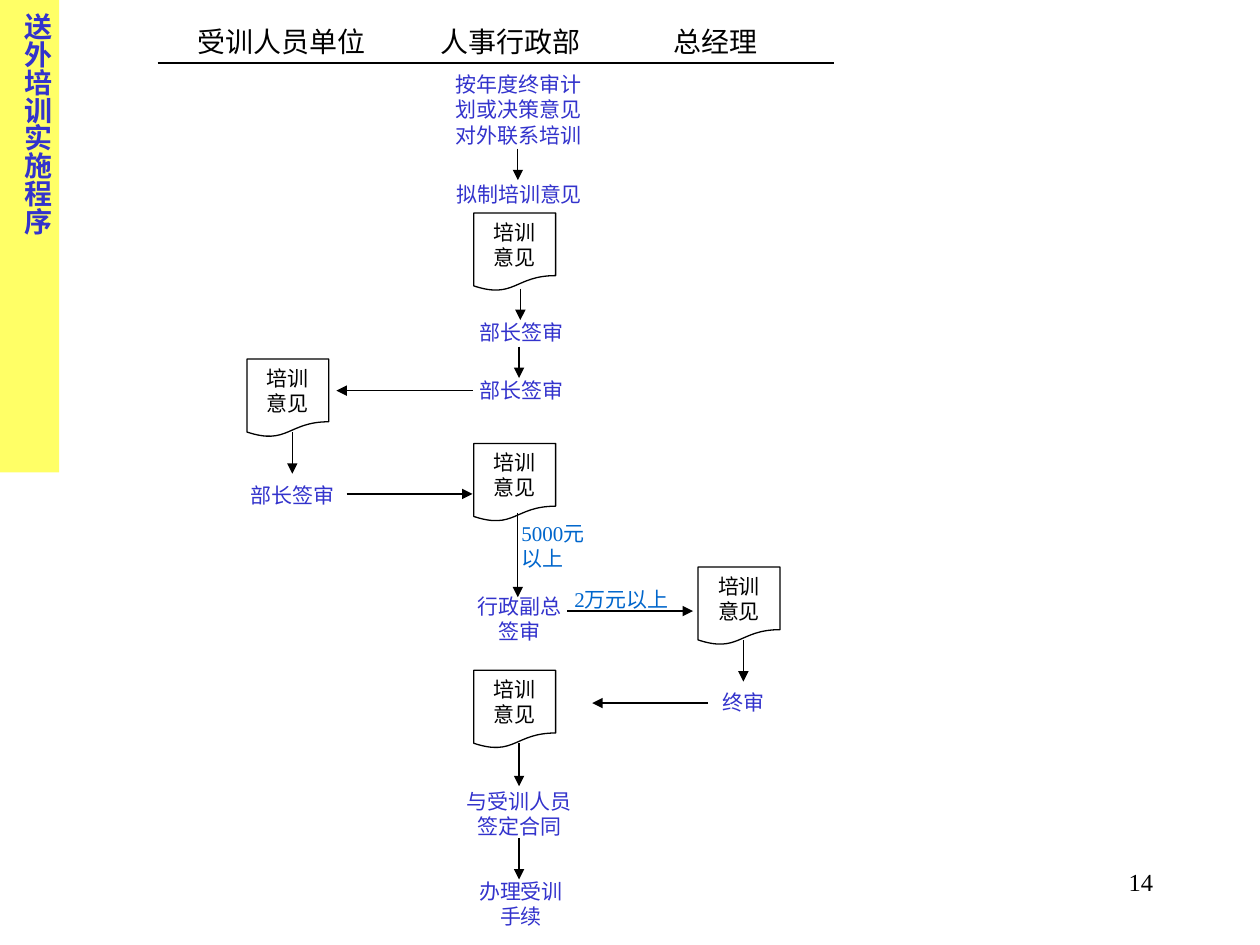
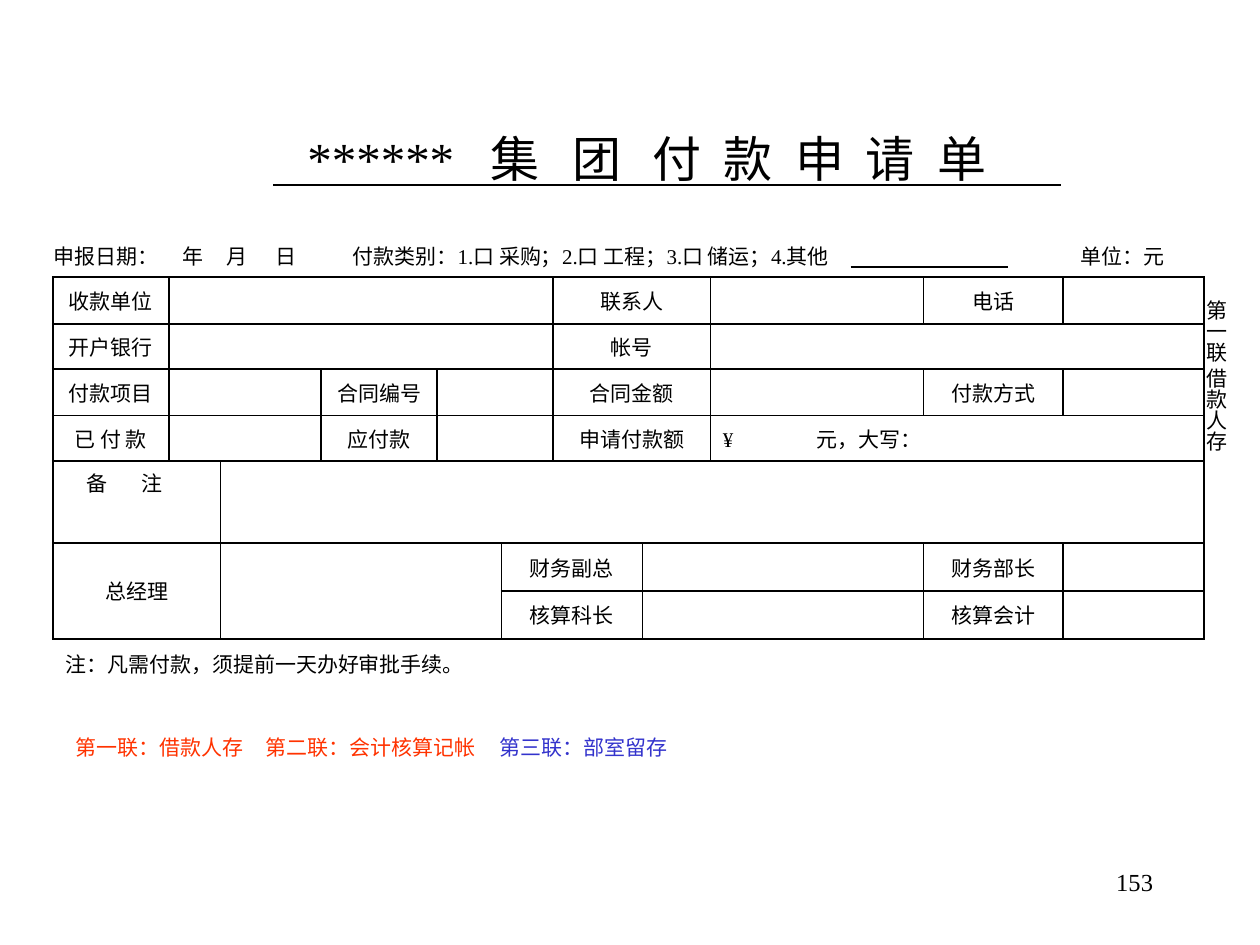
from lxml import etree
from pptx import Presentation
from pptx.dml.color import RGBColor
from pptx.enum.lang import MSO_LANGUAGE_ID
from pptx.enum.shapes import MSO_CONNECTOR, MSO_SHAPE
from pptx.enum.text import MSO_ANCHOR, MSO_AUTO_SIZE, PP_ALIGN
from pptx.oxml.ns import qn
from pptx.util import Inches, Pt

LEFT, CENTER, RIGHT = PP_ALIGN.LEFT, PP_ALIGN.CENTER, PP_ALIGN.RIGHT
TOP, MIDDLE = MSO_ANCHOR.TOP, MSO_ANCHOR.MIDDLE
STRAIGHT = MSO_CONNECTOR.STRAIGHT
DOCUMENT = MSO_SHAPE.FLOWCHART_DOCUMENT
NO_AUTOFIT = MSO_AUTO_SIZE.NONE
CHINESE = MSO_LANGUAGE_ID.SIMPLIFIED_CHINESE
TITLE_ONLY = 5

FONT = "Times New Roman"
BLACK, WHITE, YELLOW = "000000", "FFFFFF", "FFFF66"
STEP_BLUE, AMOUNT_BLUE, RED = "3333CC", "0066CC", "FF3300"

STEPS = [
    ("按年度终审计划或决策意见对外联系培训", 3.45, 0.52, 1.33, 0.7),
    ("拟制培训意见", 3.41, 1.39, 1.42, 0.3),
    ("部长签审", 3.64, 2.49, 1, 0.3),
    ("部长签审", 3.64, 2.95, 1, 0.3),
    ("部长签审", 1.74, 3.78, 1.17, 0.3),
    ("行政副总签审", 3.62, 4.66, 1, 0.5),
    ("终审", 5.4, 5.42, 1, 0.3),
    ("与受训人员签定合同", 3.55, 6.21, 1.14, 0.5),
    ("办理受训手续", 3.64, 6.92, 0.99, 0.5),
]
OPINIONS = [(3.76, 1.69), (1.96, 2.85), (3.76, 3.52), (5.54, 4.5), (3.76, 5.32)]
ARROWS = [
    (4.11, 1.18, 4.11, 1.43),
    (4.13, 2.29, 4.13, 2.54),
    (4.12, 2.75, 4.12, 3),
    (3.75, 3.1, 2.67, 3.1),
    (2.32, 3.43, 2.32, 3.76),
    (2.75, 3.92, 3.75, 3.92),
    (4.11, 4.07, 4.11, 4.74),
    (4.5, 4.85, 5.5, 4.85),
    (5.9, 5.08, 5.9, 5.41),
    (5.62, 5.58, 4.7, 5.58),
    (4.12, 5.9, 4.12, 6.24),
    (4.12, 6.65, 4.12, 6.98),
]

COLUMN_WIDTHS = [0.92, 0.2, 0.8, 0.92, 0.51, 0.41, 0.71, 0.54, 1.69, 1.11, 1.12]
ROW_HEIGHTS = [0.37, 0.36, 0.37, 0.36, 0.65, 0.38, 0.38]
REMARK, AMOUNT = "备\t注", "¥\t元，大写："
FORM_ROWS = [
    [("收款单位", 1), ("", 5), ("联系人", 2), ("", 1), ("电话", 1), ("", 1)],
    [("开户银行", 1), ("", 5), ("帐号", 2), ("", 3)],
    [("付款项目", 1), ("", 2), ("合同编号", 1), ("", 2), ("合同金额", 2),
     ("", 1), ("付款方式", 1), ("", 1)],
    [("已 付 款", 1), ("", 2), ("应付款", 1), ("", 2), ("申请付款额", 2), (AMOUNT, 3)],
    [(REMARK, 2), ("", 9)],
    [("总经理", 2, 2), ("", 3, 2), ("财务副总", 2), ("", 2), ("财务部长", 1), ("", 1)],
    [("核算科长", 2), ("", 2), ("核算会计", 1), ("", 1)],
]


def color(value):
    return RGBColor.from_string(value)


def place(box, left, top, width, height):
    box.left, box.top = Inches(left), Inches(top)
    box.width, box.height = Inches(width), Inches(height)


def add_span(para, text, size=12, fill=BLACK, bold=False):
    span = para.add_run()
    span.text = text
    span.font.name = FONT
    span.font.size = Pt(size)
    span.font.bold = bold
    span.font.color.rgb = color(fill)
    span.font.language_id = CHINESE


def write_text(frame, text, align=LEFT, tabs=(), spacing=None, vertical=False,
               anchor=TOP, wrap=True, **style):
    frame.word_wrap = wrap
    frame.auto_size = NO_AUTOFIT
    frame.vertical_anchor = anchor
    if vertical:
        frame._txBody.bodyPr.set("vert", "eaVert")
    for index, line in enumerate(text.split("\n")):
        para = frame.add_paragraph() if index else frame.paragraphs[0]
        set_tabs(para, tabs)
        para.alignment = align
        para.line_spacing = spacing
        add_span(para, line, **style)
    return para


def set_tabs(para, tabs):
    if tabs:
        stops = etree.SubElement(para._p.get_or_add_pPr(), qn("a:tabLst"))
        for position in tabs:
            etree.SubElement(stops, qn("a:tab"), pos=str(Inches(position)), algn="l")


def add_text(page, text, left, top, width, height, **style):
    box = page.shapes.add_textbox(Inches(left), Inches(top), Inches(width), Inches(height))
    return write_text(box.text_frame, text, **style)


def add_page(deck, title, place_at, number, **style):
    page = deck.slides.add_slide(deck.slide_layouts[TITLE_ONLY])
    place(page.shapes.title, *place_at)
    write_text(page.shapes.title.text_frame, title, **style)
    add_text(page, number, 7.17, 6.83, 2.08, 0.5, align=RIGHT, size=14)
    return page


def add_line(page, left, top, right, bottom, weight=0.75, arrow=False):
    line = page.shapes.add_connector(
        STRAIGHT, Inches(left), Inches(top), Inches(right), Inches(bottom))
    line.line.color.rgb = color(BLACK)
    line.line.width = Pt(weight)
    if arrow:
        etree.SubElement(line.line._get_or_add_ln(), qn("a:tailEnd"), type="triangle")
    etree.SubElement(line._element.spPr, qn("a:effectLst"))


def add_opinion(page, left, top):
    box = page.shapes.add_shape(
        DOCUMENT, Inches(left), Inches(top), Inches(0.65), Inches(0.62))
    box.shadow.inherit = False
    box.fill.solid()
    box.fill.fore_color.rgb = color(WHITE)
    box.line.color.rgb = color(BLACK)
    box.line.width = Pt(0.75)
    write_text(box.text_frame, "培训\n意见", align=CENTER, anchor=MIDDLE, wrap=False)


def add_border(cell, side, weight):
    border = etree.SubElement(cell._tc.get_or_add_tcPr(), qn(f"a:ln{side}"), w=str(Pt(weight)))
    fill = etree.SubElement(border, qn("a:solidFill"))
    etree.SubElement(fill, qn("a:srgbClr"), val=BLACK)


def outline_field(table, top, left, bottom, right):
    last_row, last_column = len(ROW_HEIGHTS) - 1, len(COLUMN_WIDTHS) - 1
    for row in range(top, bottom + 1):
        for column in range(left, right + 1):
            cell = table.cell(row, column)
            edges = [("L", column, left, 0), ("R", column, right, last_column),
                     ("T", row, top, 0), ("B", row, bottom, last_row)]
            for side, position, field_edge, table_edge in edges:
                if position == field_edge or not cell.is_spanned:
                    add_border(cell, side, 1.5 if field_edge == table_edge else 1)
            cell.fill.background()
            if cell.is_spanned:
                fill_field(cell, "")


def fill_field(cell, label):
    cell.margin_top = cell.margin_bottom = Inches(0.02)
    cell.vertical_anchor = MIDDLE
    para = cell.text_frame.paragraphs[0]
    if not label:
        cell.margin_left = cell.margin_right = 0
        etree.SubElement(para._p, qn("a:endParaRPr"), sz="1200")
        return
    if label == REMARK:
        cell.margin_left, cell.margin_top = Inches(0.27), Inches(0.05)
        cell.vertical_anchor = TOP
        set_tabs(para, [0.43])
    elif label == AMOUNT:
        set_tabs(para, [0.74])
    else:
        para.alignment = CENTER
    add_span(para, label)


def add_form(page, left, top):
    frame = page.shapes.add_table(
        len(ROW_HEIGHTS), len(COLUMN_WIDTHS), Inches(left), Inches(top),
        Inches(sum(COLUMN_WIDTHS)), Inches(sum(ROW_HEIGHTS)))
    table = frame.table
    table.first_row = table.horz_banding = False
    for column, width in zip(table.columns, COLUMN_WIDTHS):
        column.width = Inches(width)
    for row, height in zip(table.rows, ROW_HEIGHTS):
        row.height = Inches(height)
    for row, fields in enumerate(FORM_ROWS):
        column = 0
        for label, width, *height in fields:
            while table.cell(row, column).is_spanned:
                column += 1
            cell = table.cell(row, column)
            bottom = row + (height[0] if height else 1) - 1
            right = column + width - 1
            if (bottom, right) != (row, column):
                cell.merge(table.cell(bottom, right))
            outline_field(table, row, column, bottom, right)
            fill_field(cell, label)
            column = right + 1


def build_training_flow(deck):
    page = add_page(deck, "送外培训实施程序", (0, 0, 0.47, 3.75), "14",
                    size=16, fill=STEP_BLUE, bold=True, vertical=True)
    title = page.shapes.title
    title.fill.solid()
    title.fill.fore_color.rgb = color(YELLOW)
    title.text_frame.margin_top = Inches(0.1)
    title.text_frame.margin_left = Inches(0.15)
    title.text_frame.margin_right = Inches(0.04)
    add_text(page, "受训人员单位\t人事行政部\t总经理", 1.47, 0.2, 5.19, 0.31,
             size=16, spacing=0.8, tabs=[1.93, 3.78])
    add_line(page, 1.25, 0.5, 6.62, 0.5)
    for step in STEPS:
        add_text(page, *step, align=CENTER, fill=STEP_BLUE)
    for opinion in OPINIONS:
        add_opinion(page, *opinion)
    for arrow in ARROWS:
        add_line(page, *arrow, arrow=True)
    add_text(page, "2万元以上", 4.46, 4.61, 1.14, 0.3, fill=AMOUNT_BLUE)
    add_text(page, "5000元以上", 4.04, 4.08, 0.75, 0.5, fill=AMOUNT_BLUE)


def build_payment_form(deck):
    page = add_page(deck, "******\t集\t团\t付\t款\t申\t请\t单", (2.34, 0.97, 6.5, 0.57), "153",
                    size=28, tabs=[1.45, 2.1, 2.74, 3.3, 3.87, 4.43, 5])
    add_line(page, 2.17, 1.47, 8.42, 1.47, weight=1.5)
    add_text(page, "申报日期：\t年\t月\t日\t付款类别：1.口 采购；2.口 工程；3.口 储运；4.其他\t单位：元",
             0.33, 1.88, 9.25, 0.3, tabs=[1.02, 1.37, 1.76, 2.37, 8.15])
    add_line(page, 6.75, 2.12, 8, 2.12)
    add_form(page, 0.42, 2.2)
    add_text(page, "第一联 借款人存", 9.4, 2.28, 0.4, 2.33, align=CENTER, vertical=True)
    add_text(page, "注：凡需付款，须提前一天办好审批手续。", 0.42, 5.12, 3.75, 0.3)
    copies = add_text(page, "第一联：借款人存\t第二联：会计核算记帐\t", 0.5, 5.78, 5.67, 0.3,
                      fill=RED, tabs=[1.51, 3.37])
    add_span(copies, "第三联：部室留存", fill=STEP_BLUE)


def main():
    deck = Presentation()
    deck.slide_width, deck.slide_height = Inches(10), Inches(7.5)
    build_training_flow(deck)
    build_payment_form(deck)
    deck.save("out.pptx")


if __name__ == "__main__":
    main()
